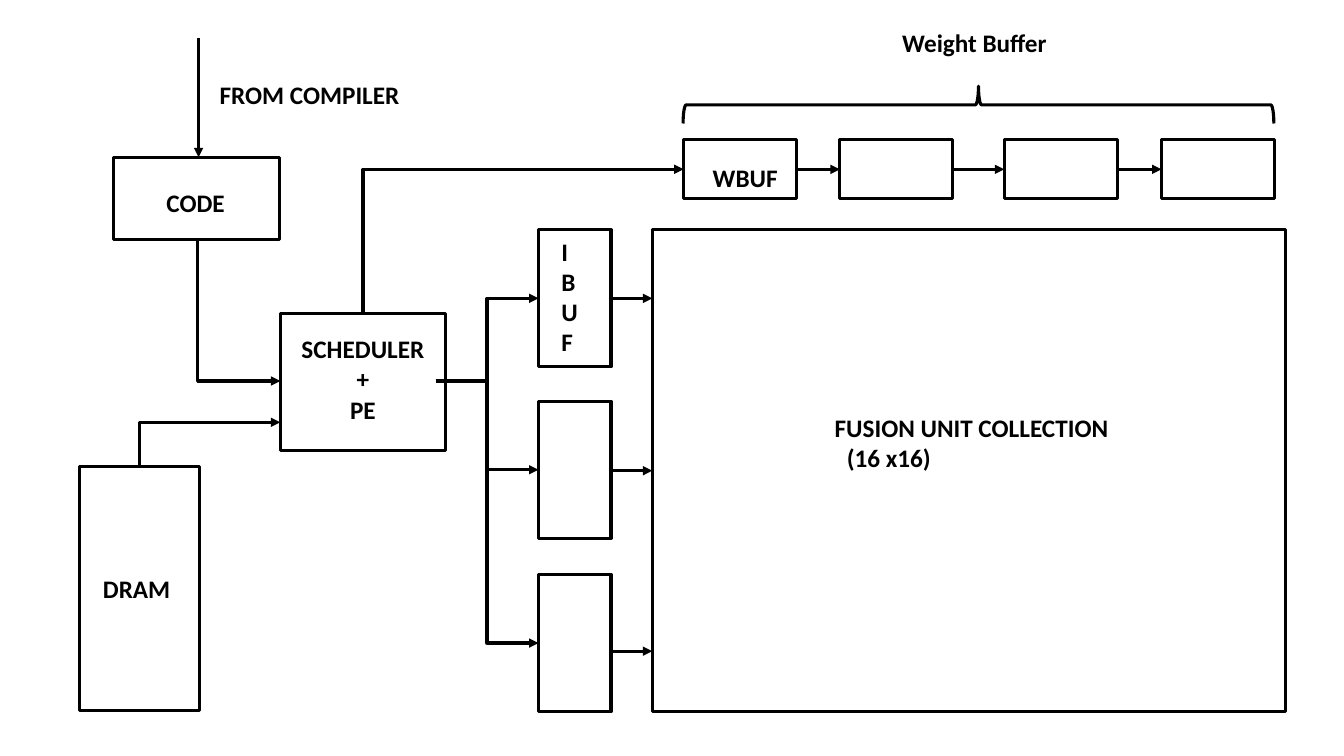
from lxml.etree import SubElement
from pptx import Presentation
from pptx.dml.color import RGBColor
from pptx.enum.shapes import MSO_CONNECTOR, MSO_SHAPE
from pptx.enum.text import MSO_ANCHOR, PP_ALIGN
from pptx.oxml.ns import qn
from pptx.util import Inches, Pt

BLACK = RGBColor(0x00, 0x00, 0x00)
FONT = "Calibri"
LINE_WIDTH = Pt(2.25)

FUSION_LEFT = 6.47
INPUT_LEFT, INPUT_WIDTH, INPUT_HEIGHT = 5.34, 0.72, 1.36
INPUT_TOPS = (2.28, 3.98, 5.7)
INPUT_ARROWS = (2.96, 4.67, 6.46)
WEIGHT_LEFTS = (6.78, 8.33, 9.96, 11.52)
WEIGHT_TOP, WEIGHT_WIDTH, WEIGHT_HEIGHT = 1.38, 1.12, 0.59
WEIGHT_MIDDLE = 1.68


def style_line(line):
    line.color.rgb = BLACK
    line.width = LINE_WIDTH


def add_outline(page, left, top, width, height, kind=MSO_SHAPE.RECTANGLE):
    shape = page.shapes.add_shape(
        kind, Inches(left), Inches(top), Inches(width), Inches(height))
    shape.shadow.inherit = False
    shape.fill.background()
    style_line(shape.line)
    return shape


def add_label(page, left, top, width, height, lines, align=PP_ALIGN.LEFT, indents=()):
    box = page.shapes.add_textbox(
        Inches(left), Inches(top), Inches(width), Inches(height))
    frame = box.text_frame
    frame.word_wrap = True
    frame.vertical_anchor = MSO_ANCHOR.TOP
    frame.text = "\n".join(lines)
    for para in frame.paragraphs:
        para.alignment = align
        para.font.name = FONT
        para.font.size = Pt(18)
        para.font.bold = True
        para.font.color.rgb = BLACK
    for para, indent in zip(frame.paragraphs, indents):
        para._p.get_or_add_pPr().set("marL", str(Inches(indent)))


def add_arrow(page, start, end, kind=MSO_CONNECTOR.STRAIGHT):
    points = [Inches(value) for value in (*start, *end)]
    arrow = page.shapes.add_connector(kind, *points)
    style_line(arrow.line)
    SubElement(arrow.line._get_or_add_ln(), qn("a:tailEnd"), type="triangle")
    SubElement(arrow._element.spPr, qn("a:effectLst"))
    return arrow


def add_corner_arrow(page, start, end):
    (start_x, start_y), (end_x, end_y) = start, end
    middle_x, middle_y = (start_x + end_x) / 2, (start_y + end_y) / 2
    half_run, half_rise = (end_x - start_x) / 2, (end_y - start_y) / 2
    reach = abs(half_rise)
    drop = half_run if half_rise > 0 else -half_run
    arrow = add_arrow(page, (middle_x + reach, middle_y - drop),
                      (middle_x - reach, middle_y + drop), MSO_CONNECTOR.ELBOW)
    properties = arrow._element.spPr
    properties.find(qn("a:prstGeom")).set("prst", "bentConnector2")
    degrees = 270 if half_rise > 0 else 90
    properties.find(qn("a:xfrm")).set("rot", str(degrees * 60000))


def add_control(page):
    add_outline(page, 1.13, 1.56, 1.64, 0.82)
    add_label(page, 1.22, 1.81, 1.44, 0.42, ["CODE"], PP_ALIGN.CENTER)
    add_outline(page, 2.78, 3.11, 1.64, 1.36)
    add_label(page, 2.88, 3.26, 1.44, 1.04, ["SCHEDULER +", "PE"], PP_ALIGN.CENTER)
    add_outline(page, 0.79, 4.63, 1.19, 2.42)
    add_label(page, 0.86, 5.64, 0.99, 0.42, ["DRAM"], PP_ALIGN.CENTER)
    add_label(page, 2.08, 0.74, 2.08, 0.42, ["FROM COMPILER"])
    add_arrow(page, (1.97, 0.38), (1.97, 1.56))
    add_corner_arrow(page, (1.96, 2.38), (2.78, 3.78))
    add_corner_arrow(page, (1.38, 4.63), (2.78, 4.19))
    add_corner_arrow(page, (3.6, 3.11), (WEIGHT_LEFTS[0], WEIGHT_MIDDLE))


def add_weight_buffer(page):
    for left in WEIGHT_LEFTS:
        add_outline(page, left, WEIGHT_TOP, WEIGHT_WIDTH, WEIGHT_HEIGHT)
    for left, following in zip(WEIGHT_LEFTS, WEIGHT_LEFTS[1:]):
        add_arrow(page, (left + WEIGHT_WIDTH, WEIGHT_MIDDLE), (following, WEIGHT_MIDDLE))
    brace = add_outline(page, 9.52, -1.89, 0.37, 5.86, MSO_SHAPE.RIGHT_BRACE)
    brace.rotation = 270
    add_label(page, 6.78, 0.22, 5.77, 0.42, ["Weight Buffer"], PP_ALIGN.CENTER)
    add_label(page, 6.97, 1.56, 0.92, 0.4, ["WBUF"])


def add_input_buffers(page):
    for top, arrow_y in zip(INPUT_TOPS, INPUT_ARROWS):
        add_outline(page, INPUT_LEFT, top, INPUT_WIDTH, INPUT_HEIGHT)
        add_arrow(page, (4.32, 3.78), (INPUT_LEFT, top + INPUT_HEIGHT / 2),
                  MSO_CONNECTOR.ELBOW)
        add_arrow(page, (INPUT_LEFT + INPUT_WIDTH, arrow_y), (FUSION_LEFT, arrow_y))
    add_label(page, 5.47, 2.29, 0.26, 1.31, ["IBUF"])


def add_fusion_units(page):
    add_outline(page, FUSION_LEFT, 2.28, 6.28, 4.78)
    add_label(page, 7.18, 4.04, 4.12, 0.71,
              ["FUSION UNIT COLLECTION", "(16 x16)"], indents=(1, 1.12))


def main():
    deck = Presentation()
    deck.slide_width = Inches(13.33)
    deck.slide_height = Inches(7.5)
    page = deck.slides.add_slide(deck.slide_layouts[6])
    add_fusion_units(page)
    add_control(page)
    add_input_buffers(page)
    add_weight_buffer(page)
    deck.save("out.pptx")


if __name__ == "__main__":
    main()
